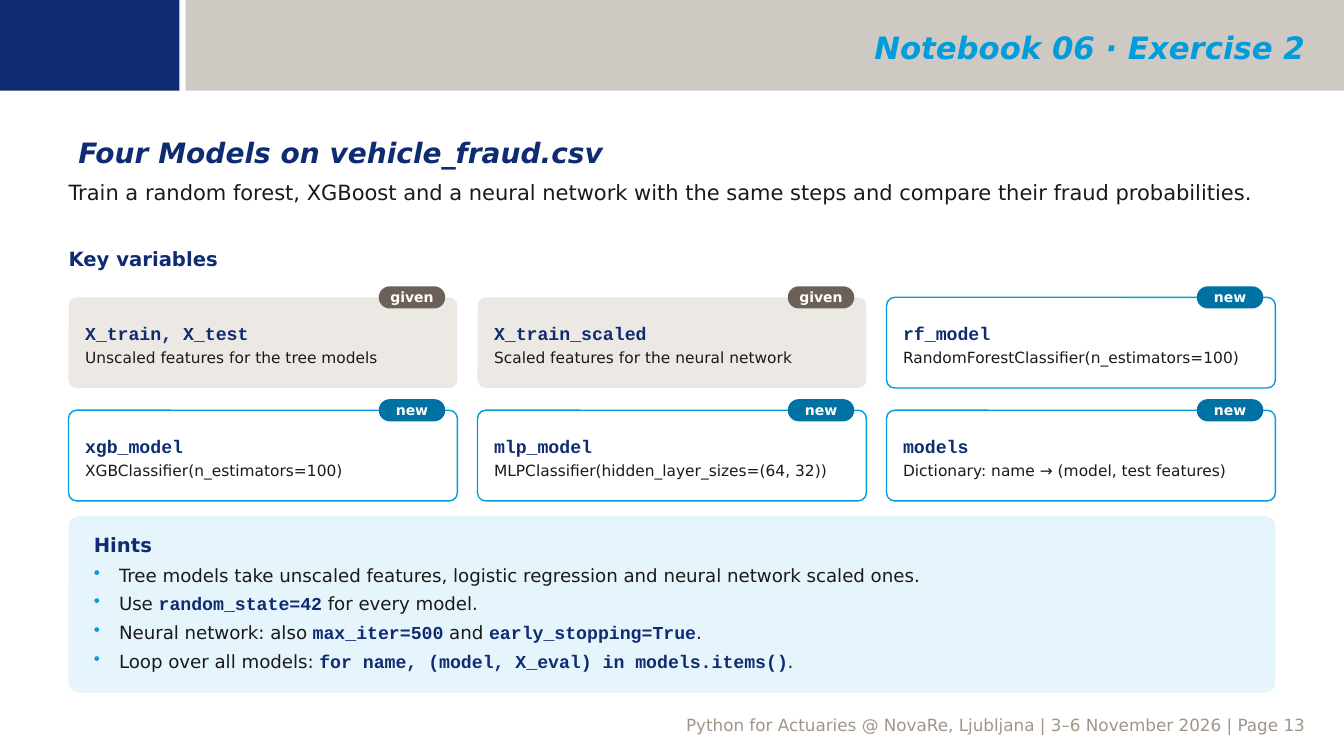
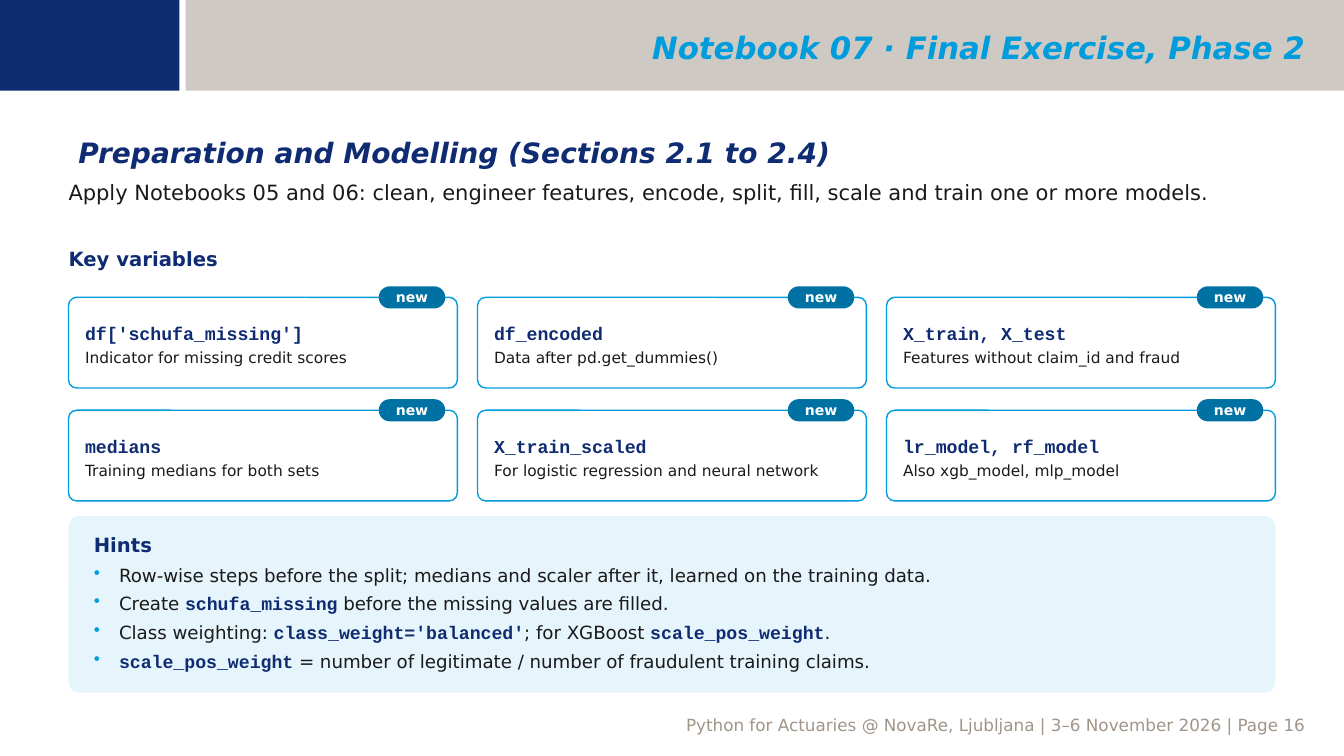
"""Build two exercise slides with key variables and hints."""
from pptx import Presentation
from pptx.dml.color import RGBColor as RGB
from pptx.enum.shapes import MSO_SHAPE as SHAPE
from pptx.enum.text import MSO_ANCHOR as ANCHOR, PP_ALIGN as ALIGN
from pptx.oxml.ns import qn
from pptx.util import Inches, Pt
from lxml.etree import SubElement

NAVY = RGB(0x0F, 0x2B, 0x72)
CORNER = RGB(0x0F, 0x2C, 0x73)
CYAN = RGB(0x00, 0x9C, 0xDB)
TEAL = RGB(0x00, 0x71, 0xA3)
STONE = RGB(0xA1, 0x95, 0x89)
BROWN = RGB(0x6B, 0x61, 0x58)
SAND = RGB(0xEC, 0xE9, 0xE5)
PALE = RGB(0xE6, 0xF5, 0xFB)
INK = RGB(0x1A, 0x1A, 0x1A)
WHITE = RGB(0xFF, 0xFF, 0xFF)
SANS, MONO = "DejaVu Sans", "Courier New"

SLIDE_W, SLIDE_H = 13.33, 7.5
BAND_H = 0.12 * SLIDE_H
BAND_X = 1.84
LEFT, CONTENT_W = 0.68, 11.97
COLS, GAP = 3, 0.2
CARD_W = (CONTENT_W - (COLS - 1) * GAP) / COLS
CARD_H, CARD_TOP, ROW_STEP = 0.9, 2.95, 1.12
TAG_W, TAG_H, TAG_INSET = 0.66, 0.22, 0.12
NO_INSET = (0, 0, 0, 0)
BOX_INSET = (0.1, 0.05, 0.1, 0.05)

FOOTER = "Python for Actuaries @ NovaRe, Ljubljana | 3–6 November 2026 | Page {}"

EXERCISES = [
    dict(
        page=13,
        title="Notebook 06 · Exercise 2",
        heading="Four Models on vehicle_fraud.csv",
        task="Train a random forest, XGBoost and a neural network with the same steps "
             "and compare their fraud probabilities.",
        cards=[
            ("given", "X_train, X_test", "Unscaled features for the tree models"),
            ("given", "X_train_scaled", "Scaled features for the neural network"),
            ("new", "rf_model", "RandomForestClassifier(n_estimators=100)"),
            ("new", "xgb_model", "XGBClassifier(n_estimators=100)"),
            ("new", "mlp_model", "MLPClassifier(hidden_layer_sizes=(64, 32))"),
            ("new", "models", "Dictionary: name → (model, test features)"),
        ],
        hints=[
            "Tree models take unscaled features, logistic regression and neural network scaled ones.",
            "Use `random_state=42` for every model.",
            "Neural network: also `max_iter=500` and `early_stopping=True`.",
            "Loop over all models: `for name, (model, X_eval) in models.items()`.",
        ],
    ),
    dict(
        page=16,
        title="Notebook 07 · Final Exercise, Phase 2",
        heading="Preparation and Modelling (Sections 2.1 to 2.4)",
        task="Apply Notebooks 05 and 06: clean, engineer features, encode, split, fill, "
             "scale and train one or more models.",
        cards=[
            ("new", "df['schufa_missing']", "Indicator for missing credit scores"),
            ("new", "df_encoded", "Data after pd.get_dummies()"),
            ("new", "X_train, X_test", "Features without claim_id and fraud"),
            ("new", "medians", "Training medians for both sets"),
            ("new", "X_train_scaled", "For logistic regression and neural network"),
            ("new", "lr_model, rf_model", "Also xgb_model, mlp_model"),
        ],
        hints=[
            "Row-wise steps before the split; medians and scaler after it, learned on the training data.",
            "Create `schufa_missing` before the missing values are filled.",
            "Class weighting: `class_weight='balanced'`; for XGBoost `scale_pos_weight`.",
            "`scale_pos_weight` = number of legitimate / number of fraudulent training claims.",
        ],
    ),
]


def write(p, text, size=13, color=INK, font=SANS, bold=False, italic=False,
          align=ALIGN.LEFT, before=0):
    p.alignment = align
    if before:
        p.space_before = Pt(before)
    for i, part in enumerate(text.split("`")):
        if not part:
            continue
        is_code = i % 2 == 1
        r = p.add_run()
        r.text = part
        r.font.size = Pt(size)
        r.font.name = MONO if is_code else font
        r.font.bold = is_code or bold
        r.font.italic = italic
        r.font.color.rgb = NAVY if is_code else color


def add_bullet(p):
    pPr = p._p.get_or_add_pPr()
    pPr.set("marL", str(Inches(0.25)))
    pPr.set("indent", str(-Inches(0.25)))
    SubElement(SubElement(pPr, qn("a:buClr")), qn("a:srgbClr")).set("val", str(CYAN))
    SubElement(pPr, qn("a:buChar")).set("char", "•")


def set_frame(sp, inset, anchor):
    tf = sp.text_frame
    tf.word_wrap = True
    tf.vertical_anchor = anchor
    tf.margin_left, tf.margin_top, tf.margin_right, tf.margin_bottom = map(Inches, inset)
    return tf


def add_label(s, text, x, y, w, h, inset=NO_INSET, anchor=ANCHOR.TOP, **style):
    sp = s.shapes.add_textbox(*map(Inches, (x, y, w, h)))
    write(set_frame(sp, inset, anchor).paragraphs[0], text, **style)


def add_block(s, x, y, w, h, fill, line=None, radius=None, alpha=None):
    kind = SHAPE.RECTANGLE if radius is None else SHAPE.ROUNDED_RECTANGLE
    sp = s.shapes.add_shape(kind, *map(Inches, (x, y, w, h)))
    sp.shadow.inherit = False
    if radius is not None:
        sp.adjustments[0] = radius
    sp.fill.solid()
    sp.fill.fore_color.rgb = fill
    if alpha is not None:
        color = sp.element.spPr.find(".//" + qn("a:srgbClr"))
        SubElement(color, qn("a:alpha")).set("val", str(alpha * 1000))
    if line is None:
        sp.line.fill.background()
    else:
        sp.line.color.rgb = line
        sp.line.width = Pt(1)
    return sp


def add_frame(s, title, page):
    add_label(s, FOOTER.format(page), 0.76, 0.94 * SLIDE_H, 12.29, 0.09, BOX_INSET,
              size=12, color=STONE, align=ALIGN.RIGHT)
    add_block(s, BAND_X, 0, SLIDE_W - BAND_X, BAND_H, STONE, alpha=50)
    add_block(s, 0, 0, 1.78, BAND_H, CORNER)
    add_label(s, title, 2.02, 0.02, 11.02, BAND_H, BOX_INSET, ANCHOR.MIDDLE,
              size=22, color=CYAN, bold=True, italic=True, align=ALIGN.RIGHT)


def add_card(s, index, tag, name, detail):
    row, col = divmod(index, COLS)
    x = LEFT + col * (CARD_W + GAP)
    y = CARD_TOP + row * ROW_STEP
    fill, line, tag_fill = (SAND, None, BROWN) if tag == "given" else (WHITE, CYAN, TEAL)
    card = add_block(s, x, y, CARD_W, CARD_H, fill, line, radius=0.09)
    tf = set_frame(card, (0.14, 0.1, 0.14, 0.06), ANCHOR.MIDDLE)
    write(tf.paragraphs[0], name, font=MONO, color=NAVY, bold=True)
    write(tf.add_paragraph(), detail, size=11, before=3)
    pill = add_block(s, x + CARD_W - TAG_INSET - TAG_W, y - TAG_H / 2, TAG_W, TAG_H,
                     tag_fill, radius=0.5)
    write(set_frame(pill, NO_INSET, ANCHOR.MIDDLE).paragraphs[0], tag,
          size=10, color=WHITE, bold=True, align=ALIGN.CENTER)


def add_hints(s, hints):
    panel = add_block(s, LEFT, 5.12, CONTENT_W, 1.75, PALE, radius=0.06)
    tf = set_frame(panel, (0.22, 0.14, 0.22, 0.1), ANCHOR.TOP)
    write(tf.paragraphs[0], "Hints", size=14, color=NAVY, bold=True)
    for hint in hints:
        p = tf.add_paragraph()
        add_bullet(p)
        write(p, hint, before=5)


def add_exercise(prs, page, title, heading, task, cards, hints):
    s = prs.slides.add_slide(prs.slide_layouts[6])
    add_frame(s, title, page)
    add_label(s, heading, LEFT, 1.3, CONTENT_W, 0.4, BOX_INSET,
              size=20, color=NAVY, bold=True, italic=True)
    add_label(s, task, LEFT, 1.78, CONTENT_W, 0.62, size=15)
    add_label(s, "Key variables", LEFT, 2.45, 6, 0.32, size=14, color=NAVY, bold=True)
    for i, card in enumerate(cards):
        add_card(s, i, *card)
    add_hints(s, hints)


def main():
    prs = Presentation()
    prs.slide_width, prs.slide_height = Inches(SLIDE_W), Inches(SLIDE_H)
    for exercise in EXERCISES:
        add_exercise(prs, **exercise)
    prs.save("out.pptx")


if __name__ == "__main__":
    main()
